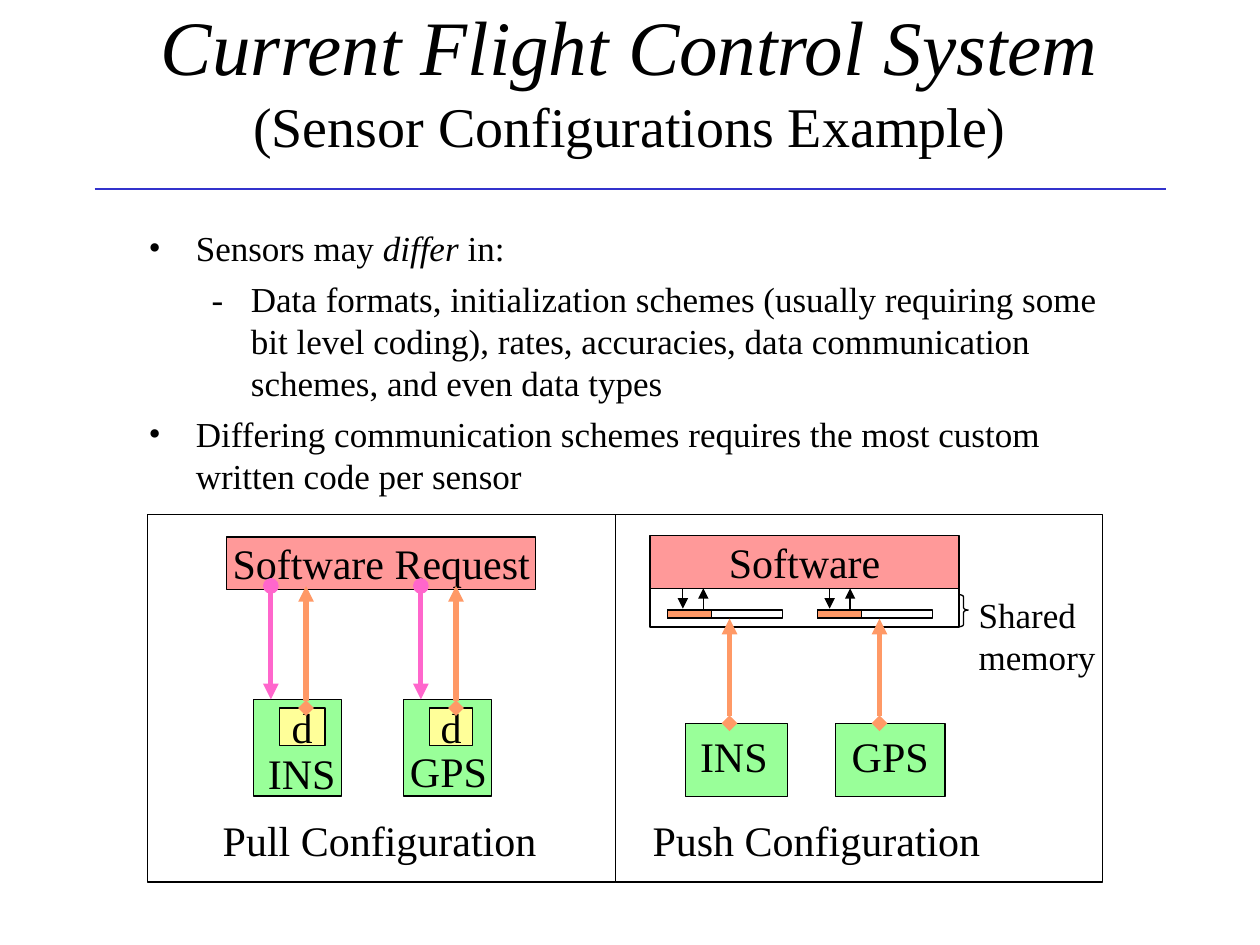
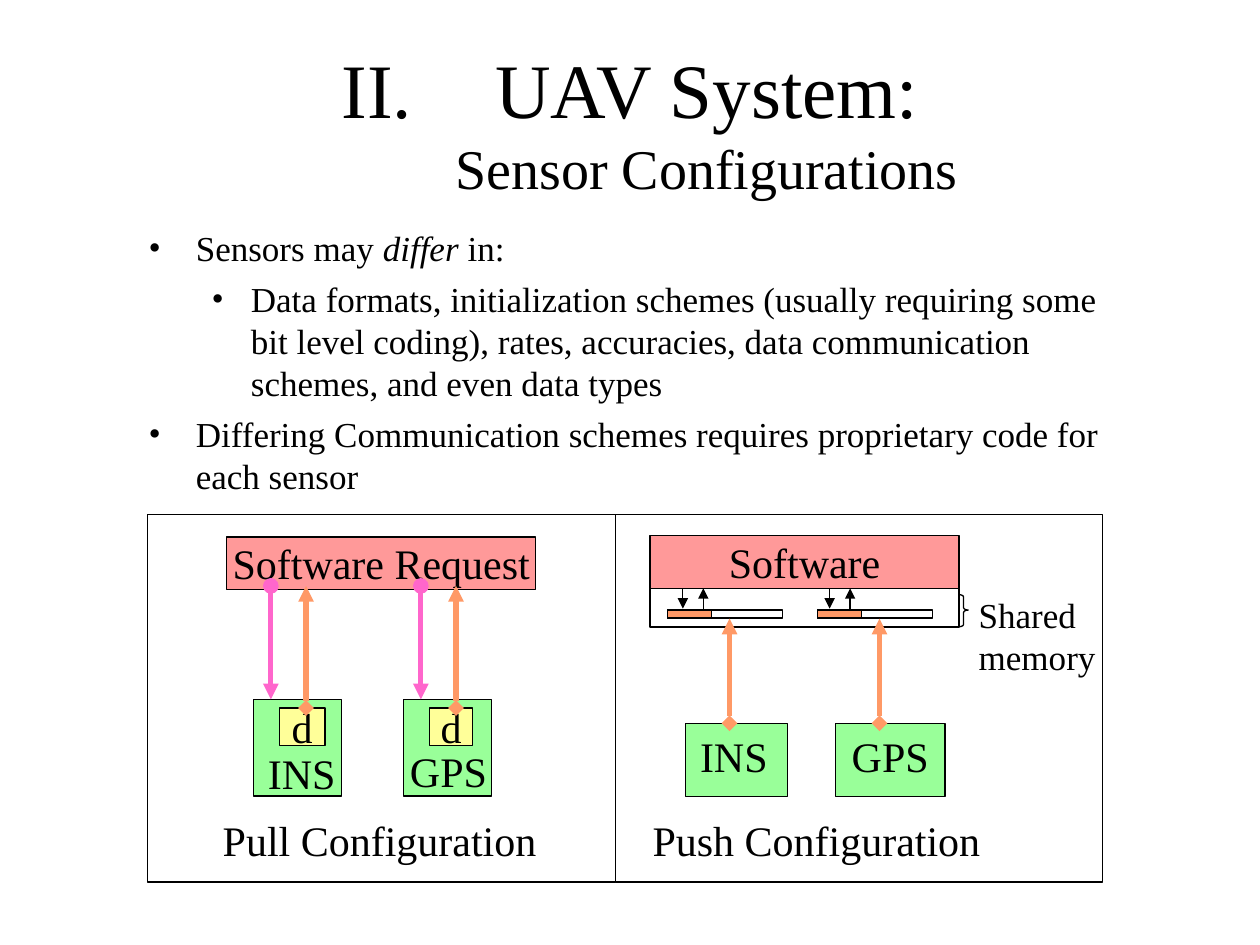
from pptx import Presentation
from pptx.dml.color import RGBColor
from pptx.enum import shapes, text
from pptx.oxml import ns, xmlchemy
from pptx.util import Pt

# Content
FONT = "Times New Roman"
COLORS = {"ink": "000000", "paper": "FFFFFF", "rule": "3333CC", "software": "FF9999",
          "sensor": "99FF99", "driver": "FFFF99", "request": "FF66CC", "data": "FF9966"}

FORMATS = ("Data formats, initialization schemes (usually requiring some bit level coding), "
           "rates, accuracies, data communication schemes, and even data types")
DIFFER = ("bullet", [("Sensors may ", False), ("differ", True), (" in:", False)])

# Title lines are (text, size, italic); points are (kind, [(text, italic), ...])
PAGES = [
    {"title": [("Current Flight Control System", 44, True),
               ("(Sensor Configurations Example)", 32, False)],
     "title_area": (54, 0, 612, 90), "numbered": False, "rule": True,
     "points": [DIFFER, ("dash", [("-\t" + FORMATS, False)]),
                ("bullet", [("Differing communication schemes requires the most custom "
                             "written code per sensor", False)])]},
    {"title": [("UAV System:", 44, False), ("Sensor Configurations", 32, False)],
     "title_area": (0, 30.2, 720, 77.8), "numbered": True, "rule": False,
     "points": [DIFFER, ("subbullet", [(FORMATS, False)]),
                ("bullet", [("Differing Communication schemes requires proprietary code for "
                             "each sensor", False)])]},
]

# Left margin and hanging indent for each kind of point
INDENTS = {"bullet": (27, -27), "subbullet": (58.5, -22.5), "dash": (58.5, -22.5)}

# Sensors: (name, driver width, label area), then (name, box width, label left)
PULL_SENSORS = [("INS", 25.9, (144.7, 423.4, 55.4, 36)),
                ("GPS", 24.5, (224.6, 422.6, 63.4, 36))]
PUSH_SENSORS = [("INS", 58.3, 390.2), ("GPS", 62.6, 477.4)]
SENSOR_PITCH = 85.7
ACCESS_PITCH = 83.9


# Text helpers
def add_span(para, words, size, italic=False):
    span = para.add_run()
    span.text = words
    span.font.name, span.font.size, span.font.italic = FONT, Pt(size), italic
    span.font.color.rgb = RGBColor.from_string(COLORS["ink"])


def set_frame(shape, wrap=True, middle=False):
    frame = shape.text_frame
    frame.word_wrap = wrap
    frame.vertical_anchor = text.MSO_ANCHOR.MIDDLE if middle else text.MSO_ANCHOR.TOP
    return frame


def add_words(shape, lines, size=24, wrap=True, centred=True):
    frame = set_frame(shape, wrap, middle=centred)
    for number, line in enumerate(lines):
        para = frame.add_paragraph() if number else frame.paragraphs[0]
        para.alignment = text.PP_ALIGN.CENTER if centred else text.PP_ALIGN.LEFT
        add_span(para, line, size)


def add_element(parent, tag, **attributes):
    element = xmlchemy.OxmlElement(tag)
    for key, value in attributes.items():
        element.set(key, str(value))
    parent.append(element)
    return element


def set_indent(para, margin, indent):
    properties = para._p.get_or_add_pPr()
    properties.set("marL", str(Pt(margin)))
    properties.set("indent", str(Pt(indent)))
    return properties


# Shape helpers
def add_label(page, area, lines, **style):
    add_words(page.shapes.add_textbox(*map(Pt, area)), lines, **style)


def set_line(line, color, width):
    line.color.rgb = RGBColor.from_string(COLORS[color])
    line.width = Pt(width)


def add_box(page, area, fill=None, words=None, kind=shapes.MSO_SHAPE.RECTANGLE):
    box = page.shapes.add_shape(kind, *map(Pt, area))
    box.shadow.inherit = False
    if fill:
        box.fill.solid()
        box.fill.fore_color.rgb = RGBColor.from_string(COLORS[fill])
    else:
        box.fill.background()
    set_line(box.line, "ink", 0.75)
    if words:
        add_words(box, [words], wrap=False)
    return box


def add_line(page, start, end, color="ink", width=0.75, head=None, tail=None):
    line = page.shapes.add_connector(shapes.MSO_CONNECTOR.STRAIGHT, *map(Pt, start + end))
    set_line(line.line, color, width)
    outline = line._element.spPr.find(ns.qn("a:ln"))
    for tag, kind in (("a:headEnd", head), ("a:tailEnd", tail)):
        if kind:
            add_element(outline, tag, type=kind)
    add_element(line._element.spPr, "a:effectLst")


# Page parts
def add_title(page, content):
    box = page.shapes.add_textbox(*map(Pt, content["title_area"]))
    para = set_frame(box, middle=True).paragraphs[0]
    para.alignment = text.PP_ALIGN.CENTER
    if content["numbered"]:
        properties = set_indent(para, 87.8, -87.8)
        add_element(properties, "a:buFont", typeface=FONT)
        add_element(properties, "a:buAutoNum", type="romanUcPeriod", startAt=2)
    for number, (words, size, italic) in enumerate(content["title"]):
        if number:
            para.add_line_break()
        add_span(para, words, size, italic)
    if content["rule"]:
        add_line(page, (54, 108), (666, 108), "rule")


def add_points(page, points):
    frame = set_frame(page.shapes.add_textbox(*map(Pt, (77.8, 126, 563.8, 174.2))))
    for number, (kind, spans) in enumerate(points):
        para = frame.add_paragraph() if number else frame.paragraphs[0]
        properties = set_indent(para, *INDENTS[kind])
        if kind == "dash":
            stops = add_element(properties, "a:tabLst")
            for inch in range(8):
                add_element(stops, "a:tab", pos=Pt(72 * inch), algn="l")
        else:
            add_element(properties, "a:buFont", typeface=FONT)
            add_element(properties, "a:buChar", char="•")
        para.level = 0 if kind == "bullet" else 1
        if number:
            para.space_before = Pt(5)
        for words, italic in spans:
            add_span(para, words, 20, italic)


def add_pull_panel(page):
    add_box(page, (84.2, 293.8, 267.6, 210.2))
    add_box(page, (129.6, 306.9, 176.6, 29.8), "software", "Software Request")
    for number, (name, driver_width, label_area) in enumerate(PULL_SENSORS):
        left = 144.7 + number * SENSOR_PITCH
        request, data = left + 10.1, left + 30.2
        add_box(page, (left, 399.6, 50.4, 55.4), "sensor")
        add_box(page, (left + 15.1, 404.6, driver_width, 21.6), "driver", "d")
        add_label(page, label_area, [name])
        add_line(page, (request, 334.8), (request, 399.6), "request", 3, "oval", "triangle")
        add_line(page, (data, 404.6), (data, 334.8), "data", 3, "diamond", "triangle")
    add_label(page, (120.2, 462.2, 193.7, 36), ["Pull Configuration"], wrap=False, centred=False)


def add_push_panel(page):
    add_box(page, (351.6, 293.8, 278.4, 210.2))
    add_box(page, (371.5, 306, 176.6, 30.2), "software", "Software")
    # Shared memory with its brace
    add_box(page, (371.5, 336.2, 176.6, 22.1), "paper")
    brace = add_box(page, (547.9, 339.8, 5.4, 18.4), kind=shapes.MSO_SHAPE.RIGHT_BRACE)
    brace.adjustments[0], brace.adjustments[1] = 0.25, 0.48
    add_label(page, (552.2, 335.5, 81.4, 55.4), ["Shared", "memory"],
              size=20, wrap=False, centred=False)
    # Sensors, each with a partly filled buffer and software access
    for number, (name, width, label_left) in enumerate(PUSH_SENSORS):
        shift = number * SENSOR_PITCH
        add_box(page, (391.7 + shift, 413.3, width, 41.8), "sensor")
        add_label(page, (label_left, 414, width, 36), [name])
        for buffer_width, fill in ((65.5, "paper"), (25.2, "data")):
            add_box(page, (381.6 + shift, 348.6, buffer_width, 4.5), fill)
        data = 416.9 + shift
        add_line(page, (data, 413.3), (data, 353.5), "data", 3, "diamond", "triangle")
        read, write = (x + number * ACCESS_PITCH for x in (390.2, 401.9))
        add_line(page, (read, 336.2), (read, 347.8), tail="triangle")
        add_line(page, (write, 347.8), (write, 336.2), tail="triangle")
    add_label(page, (365.8, 462.2, 201.6, 36), ["Push Configuration"], wrap=False, centred=False)


def main():
    deck = Presentation()
    deck.slide_width, deck.slide_height = Pt(720), Pt(540)
    for content in PAGES:
        page = deck.slides.add_slide(deck.slide_layouts[6])
        add_title(page, content)
        add_points(page, content["points"])
        add_pull_panel(page)
        add_push_panel(page)
    deck.save("out.pptx")


if __name__ == "__main__":
    main()
